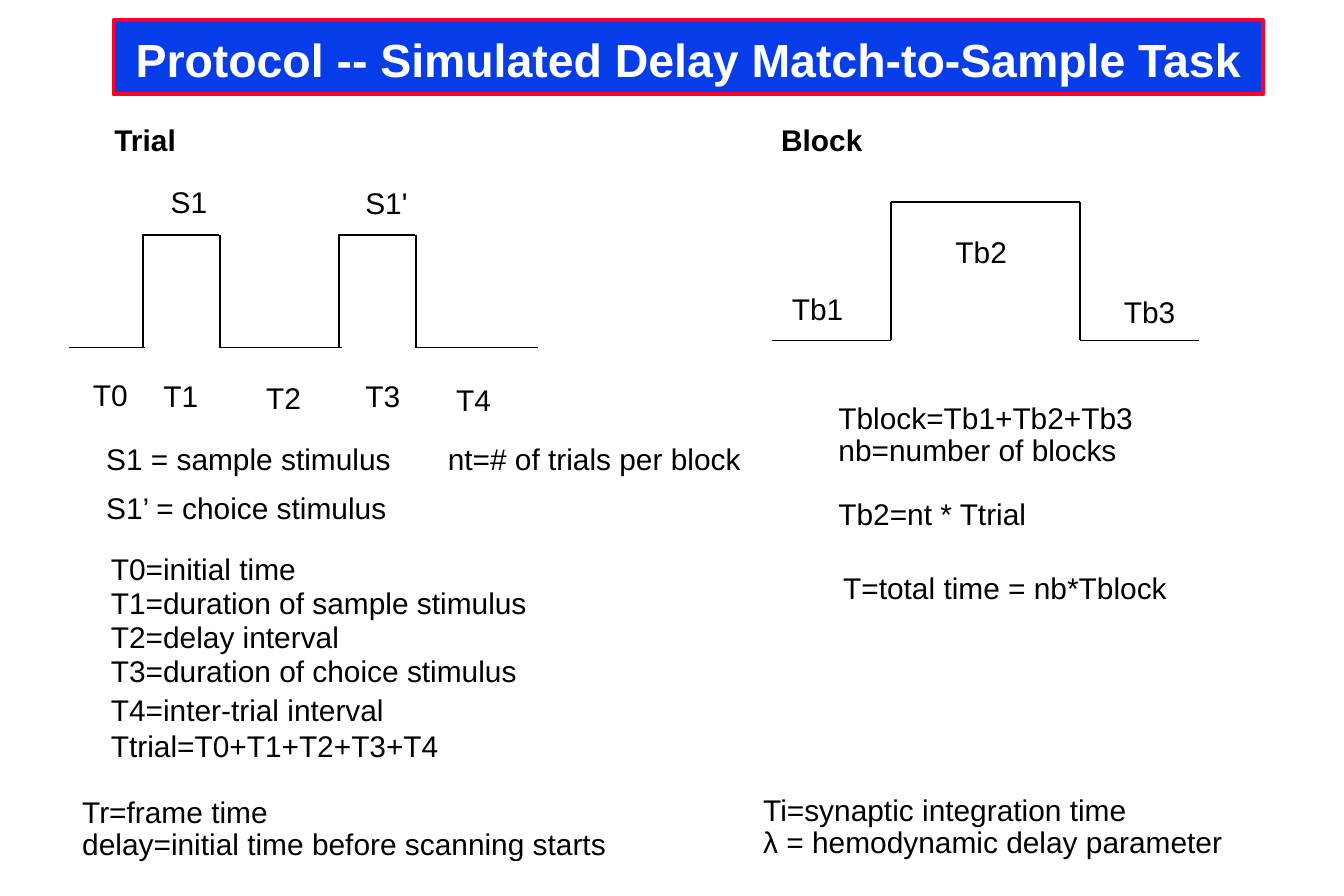
from itertools import pairwise

from lxml.etree import SubElement
from pptx import Presentation
from pptx.dml.color import RGBColor
from pptx.enum.shapes import MSO_CONNECTOR, MSO_SHAPE
from pptx.enum.text import MSO_ANCHOR, MSO_AUTO_SIZE, PP_ALIGN
from pptx.oxml.ns import qn
from pptx.util import Inches, Pt

COLORS = {"text": "000000", "line": "000000", "title": "FFFFFF",
          "banner": "063DE8", "border": "FC0128"}

TITLE = "Protocol -- Simulated Delay Match-to-Sample Task"
TITLE_BOX = (0.95, 0.17, 9.62, 0.62)

# left, top, width, text
HEADINGS = [(0.86, 1, 0.74, "Trial"), (6.44, 1, 0.89, "Block")]
LABELS = [
    (0.68, 3.14, 0.5, "T0"),
    (1.27, 3.15, 0.5, "T1"),
    (2.13, 3.16, 0.5, "T2"),
    (2.96, 3.15, 0.5, "T3"),
    (3.72, 3.18, 0.5, "T4"),
    (1.33, 1.52, 0.52, "S1"),
    (2.96, 1.53, 0.56, "S1'"),
    (6.53, 2.42, 0.64, "Tb1"),
    (7.9, 1.94, 0.64, "Tb2"),
    (9.31, 2.44, 0.64, "Tb3"),
    (0.79, 4.08, 2.57, "S1’ = choice stimulus"),
    (6.29, 6.61, 3.27, "Ti=synaptic integration time"),
    (6.96, 4.75, 2.93, "T=total time = nb*Tblock"),
]

DURATIONS = [
    (2.54, "T0=initial time"),
    (3.7, "T1=duration of sample stimulus"),
    (2.13, "T2=delay interval"),
    (3.62, "T3=duration of choice stimulus"),
]
DURATION_LEFT, DURATION_TOP, DURATION_STEP = 0.83, 4.59, 0.287

TRIAL_BASE, TRIAL_TOP, PULSE_WIDTH = 2.91, 1.97, 0.64
PULSE_LEFTS = [1.2, 2.84]
TRIAL_RESTS = [(0.58, 1.21), (1.84, 2.86), (3.49, 4.5)]
BLOCK_POINTS = [(6.46, 2.85), (7.46, 2.85), (7.46, 1.69),
                (9.04, 1.69), (9.04, 2.85), (10.04, 2.85)]


def color(name):
    return RGBColor.from_string(COLORS[name])


def set_font(paragraph, size=18, bold=False, color_name="text"):
    values = {"name": "Arial", "size": Pt(size), "bold": bold}
    for name, value in values.items():
        setattr(paragraph.font, name, value)
    paragraph.font.color.rgb = color(color_name)


def add_text(slide, left, top, width, *lines, height=0.37, wrap=False,
             bold=False, spacing=0.9):
    """Add a text box with one paragraph per line and return its paragraphs."""
    box = slide.shapes.add_textbox(*map(Inches, (left, top, width, height)))
    frame = box.text_frame
    frame.text = "\n".join(lines)
    frame.word_wrap = wrap
    frame.auto_size = MSO_AUTO_SIZE.SHAPE_TO_FIT_TEXT
    for paragraph in frame.paragraphs:
        paragraph.line_spacing = spacing
        set_font(paragraph, bold=bold)
    return frame.paragraphs


def add_line(slide, start, end):
    line = slide.shapes.add_connector(
        MSO_CONNECTOR.STRAIGHT, *map(Inches, (*start, *end)))
    line.line.color.rgb = color("line")
    line.line.width = Pt(1)
    SubElement(line._element.spPr, qn("a:effectLst"))


def add_pulse(slide, left):
    """Draw the rise and top as one outline, and the fall as a line."""
    right = left + PULSE_WIDTH
    builder = slide.shapes.build_freeform(Inches(left), Inches(TRIAL_BASE))
    corners = [(left, TRIAL_TOP), (right - 0.01, TRIAL_TOP)]
    builder.add_line_segments(
        [(Inches(x), Inches(y)) for x, y in corners], close=False)
    rise = builder.convert_to_shape()
    rise.shadow.inherit = False
    rise.fill.background()
    rise.line.color.rgb = color("line")
    rise.line.width = Pt(1)
    add_line(slide, (right, TRIAL_BASE), (right, TRIAL_TOP))


def add_title(slide):
    banner = slide.shapes.add_shape(
        MSO_SHAPE.RECTANGLE, *map(Inches, TITLE_BOX))
    banner.shadow.inherit = False
    banner.fill.solid()
    banner.fill.fore_color.rgb = color("banner")
    banner.line.color.rgb = color("border")
    banner.line.width = Pt(2.25)
    frame = banner.text_frame
    margins = {"margin_left": 0.07, "margin_right": 0.07,
               "margin_top": 0.03, "margin_bottom": 0.07}
    for name, value in margins.items():
        setattr(frame, name, Inches(value))
    frame.word_wrap = True
    frame.vertical_anchor = MSO_ANCHOR.MIDDLE
    paragraph = frame.paragraphs[0]
    paragraph.text = TITLE
    paragraph.alignment = PP_ALIGN.CENTER
    paragraph.line_spacing = 1.15
    set_font(paragraph, 28, True, "title")


def add_stimulus_line(slide):
    """Add the sample line, with the trial count set at a tab stop."""
    paragraph = add_text(slide, 0.79, 3.67, 6, "", wrap=True)[0]
    properties = paragraph._p.get_or_add_pPr()
    tabs = SubElement(properties, qn("a:tabLst"))
    SubElement(tabs, qn("a:tab"), pos=str(Inches(2.86)), algn="l")
    paragraph.text = "S1 = sample stimulus\tnt=# of trials per block"
    properties.append(properties.find(qn("a:defRPr")))


def main():
    presentation = Presentation()
    presentation.slide_width = Inches(11.25)
    presentation.slide_height = Inches(7.5)
    slide = presentation.slides.add_slide(presentation.slide_layouts[6])

    add_title(slide)
    for start, end in TRIAL_RESTS:
        add_line(slide, (start, TRIAL_BASE), (end, TRIAL_BASE))
    for left in PULSE_LEFTS:
        add_pulse(slide, left)
    for start, end in pairwise(BLOCK_POINTS):
        add_line(slide, start, end)

    for heading in HEADINGS:
        add_text(slide, *heading, bold=True)
    for label in LABELS:
        add_text(slide, *label)
    for row, (width, text) in enumerate(DURATIONS):
        top = DURATION_TOP + row * DURATION_STEP
        add_text(slide, DURATION_LEFT, top, width, text, height=0.64)
    add_text(slide, DURATION_LEFT, 5.74, 3, "T4=inter-trial interval",
             "Ttrial=T0+T1+T2+T3+T4", height=0.7, spacing=1.0)
    add_stimulus_line(slide)
    add_text(slide, 0.59, 6.63, 4.67, "Tr=frame time",
             "delay=initial time before scanning starts", height=0.64)
    add_text(slide, 6.29, 6.88, 4.18, "λ = hemodynamic delay parameter",
             wrap=True)
    block_lines = add_text(
        slide, 6.92, 3.33, 3.13, "Tblock=Tb1+Tb2+Tb3", "nb=number of blocks",
        "Tb2=nt * Ttrial", height=1.18, wrap=True)
    block_lines[-1].space_before = Pt(19)

    presentation.save("out.pptx")


if __name__ == "__main__":
    main()
